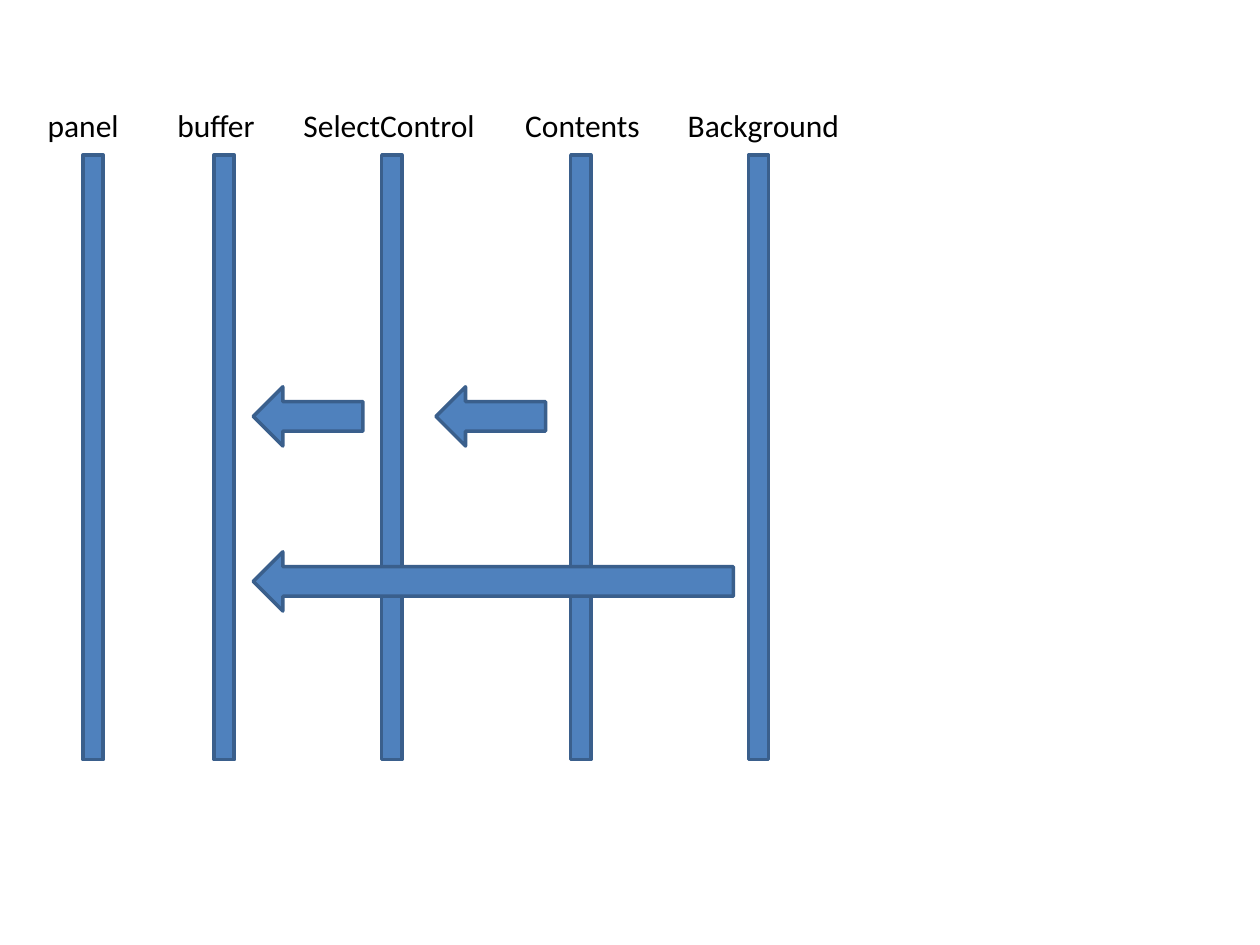
from dataclasses import dataclass

import pptx
import pptx.dml.color
import pptx.enum.shapes
import pptx.enum.text
import pptx.shapes.autoshape
import pptx.slide
import pptx.util

Inches = pptx.util.Inches
SHAPES = pptx.enum.shapes.MSO_SHAPE
COLOURS = {"fill": "4F81BD", "outline": "3A5F8C", "label": "000000"}
LABEL_FORMAT = {"name": "Calibri", "size": pptx.util.Pt(18)}
FRAME_FORMAT = {
    "word_wrap": False,
    "auto_size": pptx.enum.text.MSO_AUTO_SIZE.SHAPE_TO_FIT_TEXT,
}
LABEL_TOP, LABEL_HEIGHT = 0.79, 0.4
BAR_TOP, BAR_WIDTH, BAR_HEIGHT = 1.23, 0.16, 4.8
ARROW_HEIGHT = 0.47


@dataclass(frozen=True)
class Lifeline:
    """A named layer with its label box and bar."""
    name: str
    label_left: float
    label_width: float
    bar_left: float


@dataclass(frozen=True)
class Transfer:
    """An arrow leading from one layer to another."""
    left: float
    top: float
    width: float


LIFELINES = [
    Lifeline("panel", 0.28, 0.77, 0.66),
    Lifeline("buffer", 1.31, 0.83, 1.7),
    Lifeline("SelectControl", 2.31, 1.58, 3.03),
    Lifeline("Contents", 4.07, 1.12, 4.53),
    Lifeline("Background", 5.36, 1.42, 5.94),
]
TRANSFERS = [
    Transfer(2.01, 4.38, 3.81),
    Transfer(3.46, 3.07, 0.87),
    Transfer(2.01, 3.07, 0.87),
]


def colour(key: str) -> pptx.dml.color.RGBColor:
    """Return the named colour."""
    return pptx.dml.color.RGBColor.from_string(COLOURS[key])


def draw_block(slide: pptx.slide.Slide, kind: SHAPES, left: float, top: float,
               width: float, height: float) -> pptx.shapes.autoshape.Shape:
    """Draw a filled and outlined preset shape."""
    block = slide.shapes.add_shape(
        kind, Inches(left), Inches(top), Inches(width), Inches(height))
    block.shadow.inherit = False
    block.fill.solid()
    block.fill.fore_color.rgb = colour("fill")
    block.line.color.rgb = colour("outline")
    block.line.width = pptx.util.Pt(2)
    return block


def draw_lifeline(slide: pptx.slide.Slide, lifeline: Lifeline) -> None:
    """Draw a layer's bar and the label above it."""
    draw_block(slide, SHAPES.RECTANGLE, lifeline.bar_left, BAR_TOP,
               BAR_WIDTH, BAR_HEIGHT)
    label = slide.shapes.add_textbox(
        Inches(lifeline.label_left), Inches(LABEL_TOP),
        Inches(lifeline.label_width), Inches(LABEL_HEIGHT))
    for attribute, value in FRAME_FORMAT.items():
        setattr(label.text_frame, attribute, value)
    name = label.text_frame.paragraphs[0].add_run()
    name.text = lifeline.name
    for attribute, value in LABEL_FORMAT.items():
        setattr(name.font, attribute, value)
    name.font.color.rgb = colour("label")


def draw_transfer(slide: pptx.slide.Slide, transfer: Transfer) -> None:
    """Draw a left-pointing block arrow."""
    draw_block(slide, SHAPES.LEFT_ARROW, transfer.left, transfer.top,
               transfer.width, ARROW_HEIGHT)


def main() -> None:
    """Build and save the layer diagram."""
    deck = pptx.Presentation()
    deck.slide_width, deck.slide_height = Inches(10), Inches(7.5)
    diagram = deck.slides.add_slide(deck.slide_layouts[6])
    for lifeline in LIFELINES:
        draw_lifeline(diagram, lifeline)
    for transfer in TRANSFERS:
        draw_transfer(diagram, transfer)
    deck.save("out.pptx")


main()
